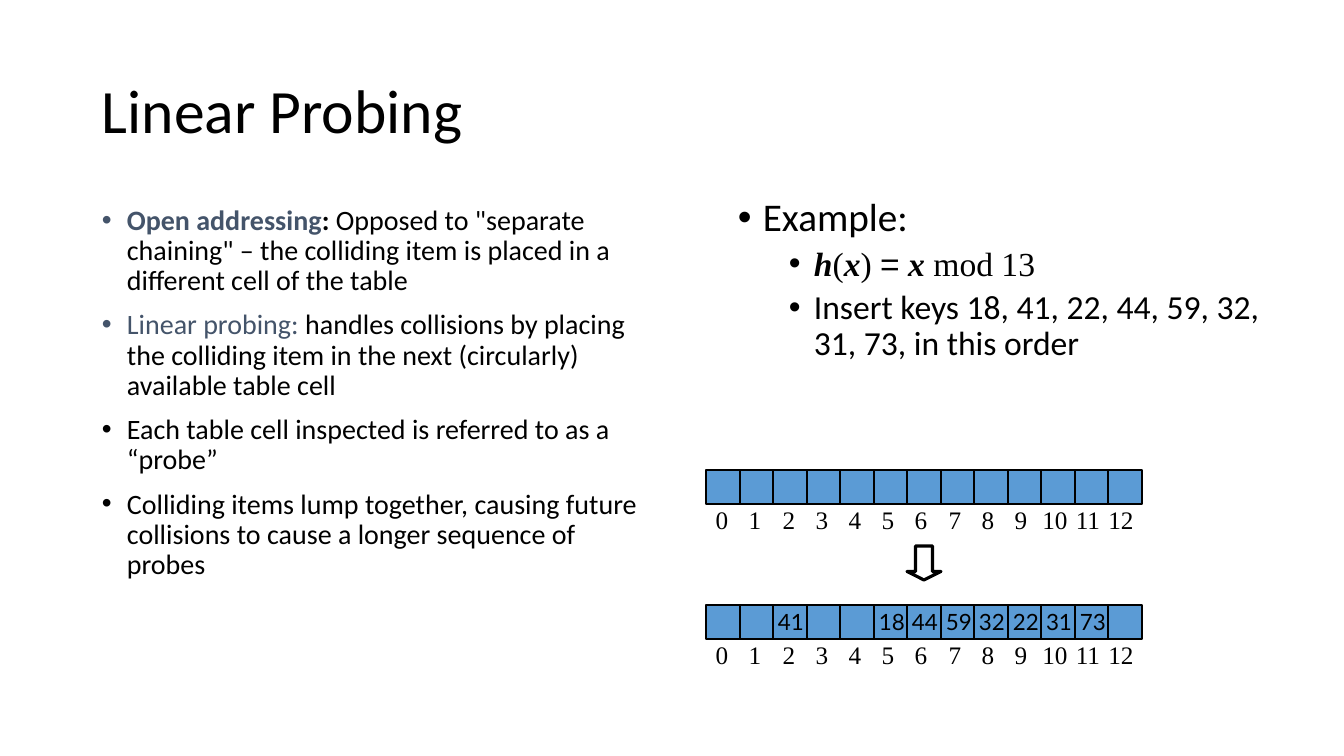
import pptx
import pptx.dml.color
import pptx.enum.shapes
import pptx.enum.text
import pptx.oxml.ns
import pptx.util
import lxml.etree

COLORS = {"ink": "000000", "term": "44546A", "cell": "5B9BD5"}
EMU_PER_PIXEL = 914400 / 100.8
SHAPES = pptx.enum.shapes.MSO_SHAPE
ANCHOR = pptx.enum.text.MSO_ANCHOR
ALIGN = pptx.enum.text.PP_ALIGN
AUTO_SIZE = pptx.enum.text.MSO_AUTO_SIZE

TABLE_SIZE = 13
TABLE_LEFT, TABLE_WIDTH, CELL_HEIGHT = 706, 436, 34
FIRST_INDEX_CENTER, INDEX_SPAN = 722, 399


def px(length):
    """Turn pixels into EMU."""
    return pptx.util.Emu(round(length * EMU_PER_PIXEL))


def rgb(name):
    """Look up a named colour."""
    return pptx.dml.color.RGBColor.from_string(COLORS[name])


def add_span(para, text, size=20, font="Calibri", color="ink", bold=False, italic=False):
    """Append formatted text to a paragraph."""
    span = para.add_run()
    span.text = text
    span.font.size = pptx.util.Pt(size)
    span.font.name = font
    span.font.color.rgb = rgb(color)
    span.font.bold = bold
    span.font.italic = italic


def add_bullet(para, indent):
    """Give a paragraph a hanging round bullet; indent is in pixels."""
    properties = para._p.get_or_add_pPr()
    properties.set("marL", str(px(indent)))
    properties.set("indent", str(px(-25)))
    for tag, key, value in (("a:buFont", "typeface", "Arial"), ("a:buChar", "char", "•")):
        lxml.etree.SubElement(properties, pptx.oxml.ns.qn(tag)).set(key, value)


class SlideBuilder:
    """Holds the style and the current slide."""

    def __init__(self, slide):
        """Start building on a slide."""
        self.shapes = slide.shapes

    def text_box(self, left, top, width, height, wrap=True, anchor=ANCHOR.TOP):
        """Add an empty text box and return its text frame."""
        box = self.shapes.add_textbox(px(left), px(top), px(width), px(height))
        frame = box.text_frame
        frame.word_wrap = wrap
        frame.vertical_anchor = anchor
        return frame

    def title(self, text, *place):
        """Add the slide title."""
        para = self.text_box(*place, anchor=ANCHOR.MIDDLE).paragraphs[0]
        para.line_spacing = 0.9
        add_span(para, text, size=44)

    def bullets(self, items, *place):
        """Add a bullet list of (level, spans) items."""
        frame = self.text_box(*place)
        for number, (level, spans) in enumerate(items):
            para = frame.add_paragraph() if number else frame.paragraphs[0]
            para.level = level
            para.line_spacing = 0.9
            para.space_before = pptx.util.Pt(5 if level else 10)
            add_bullet(para, 76 if level else 25)
            for text, style in spans:
                add_span(para, text, **style)

    def shape(self, kind, left, top, width, height, line_width, fill=None):
        """Add an outlined preset shape."""
        shape = self.shapes.add_shape(kind, px(left), px(top), px(width), px(height))
        shape.shadow.inherit = False
        if fill:
            shape.fill.solid()
            shape.fill.fore_color.rgb = rgb(fill)
        else:
            shape.fill.background()
        shape.line.color.rgb = rgb("ink")
        shape.line.width = pptx.util.Pt(line_width)
        return shape

    def cell(self, left, top, width, key):
        """Add one hash table cell, with its key if it has one."""
        cell = self.shape(SHAPES.RECTANGLE, left, top, width, CELL_HEIGHT, 1.5, "cell")
        if key is None:
            return
        frame = cell.text_frame
        frame.word_wrap = False
        frame.vertical_anchor = ANCHOR.MIDDLE
        frame.margin_left = frame.margin_right = px(5)
        frame.margin_top = frame.margin_bottom = px(5)
        para = frame.paragraphs[0]
        para.alignment = ALIGN.LEFT
        add_span(para, str(key), size=16, font="Lato")

    def index_label(self, index, top):
        """Add the index below a cell."""
        center = FIRST_INDEX_CENTER + INDEX_SPAN * index / (TABLE_SIZE - 1)
        width = 46 if index > 9 else 34
        frame = self.text_box(round(center - width / 2), top, width, 40, wrap=False)
        frame.auto_size = AUTO_SIZE.SHAPE_TO_FIT_TEXT
        frame.margin_left = frame.margin_right = px(7)
        para = frame.paragraphs[0]
        para.alignment = ALIGN.CENTER
        add_span(para, str(index), size=18, font="Times New Roman")

    def hash_table(self, top, keys):
        """Add a row of cells with indices; keys maps index to key."""
        edges = [TABLE_LEFT + round(TABLE_WIDTH * i / TABLE_SIZE) for i in range(TABLE_SIZE + 1)]
        for index in range(TABLE_SIZE):
            left, right = edges[index:index + 2]
            self.cell(left, top, right - left, keys.get(index))
        for index in range(TABLE_SIZE):
            self.index_label(index, top + 29)


PLAIN = {}
TERM = {"color": "term"}
SUB = {"size": 24}
MATH = {"size": 24, "font": "Times New Roman"}
VARIABLE = {**MATH, "bold": True, "italic": True}

DEFINITIONS = [
    (0, [("Open addressing", {**TERM, "bold": True}), (": ", {"bold": True}),
         ("Opposed to \"separate chaining\" – the colliding item is placed "
          "in a different cell of the table", PLAIN)]),
    (0, [("Linear probing:", TERM),
         (" handles collisions by placing the colliding item in the next "
          "(circularly) available table cell", PLAIN)]),
    (0, [("Each table cell inspected is referred to as a “probe”", PLAIN)]),
    (0, [("Colliding items lump together, causing future collisions "
          "to cause a longer sequence of probes", PLAIN)]),
]
EXAMPLE = [
    (0, [("Example:", {"size": 28})]),
    (1, [("h", VARIABLE), ("(", MATH), ("x", VARIABLE), (") ", MATH),
         ("=", {**SUB, "font": "Arial"}), (" x ", VARIABLE), ("mod 13", MATH)]),
    (1, [("Insert keys 18, 41, 22, 44, 59, 32, 31, 73, in this order", SUB)]),
]
INSERTED_KEYS = {2: 41, 5: 18, 6: 44, 7: 59, 8: 32, 9: 22, 10: 31, 11: 73}

deck = pptx.Presentation()
deck.slide_width, deck.slide_height = px(1344), px(756)
page = SlideBuilder(deck.slides.add_slide(deck.slide_layouts[6]))
page.title("Linear Probing", 92, 41, 1159, 146)
page.bullets(DEFINITIONS, 92, 201, 572, 480)
page.bullets(EXAMPLE, 728, 193, 548, 213)
page.hash_table(470, {})
page.hash_table(605, INSERTED_KEYS)
arrow = page.shape(SHAPES.DOWN_ARROW, 907, 546, 34, 34, 2.25)
arrow.adjustments[0], arrow.adjustments[1] = 0.5, 0.25
deck.save("out.pptx")
